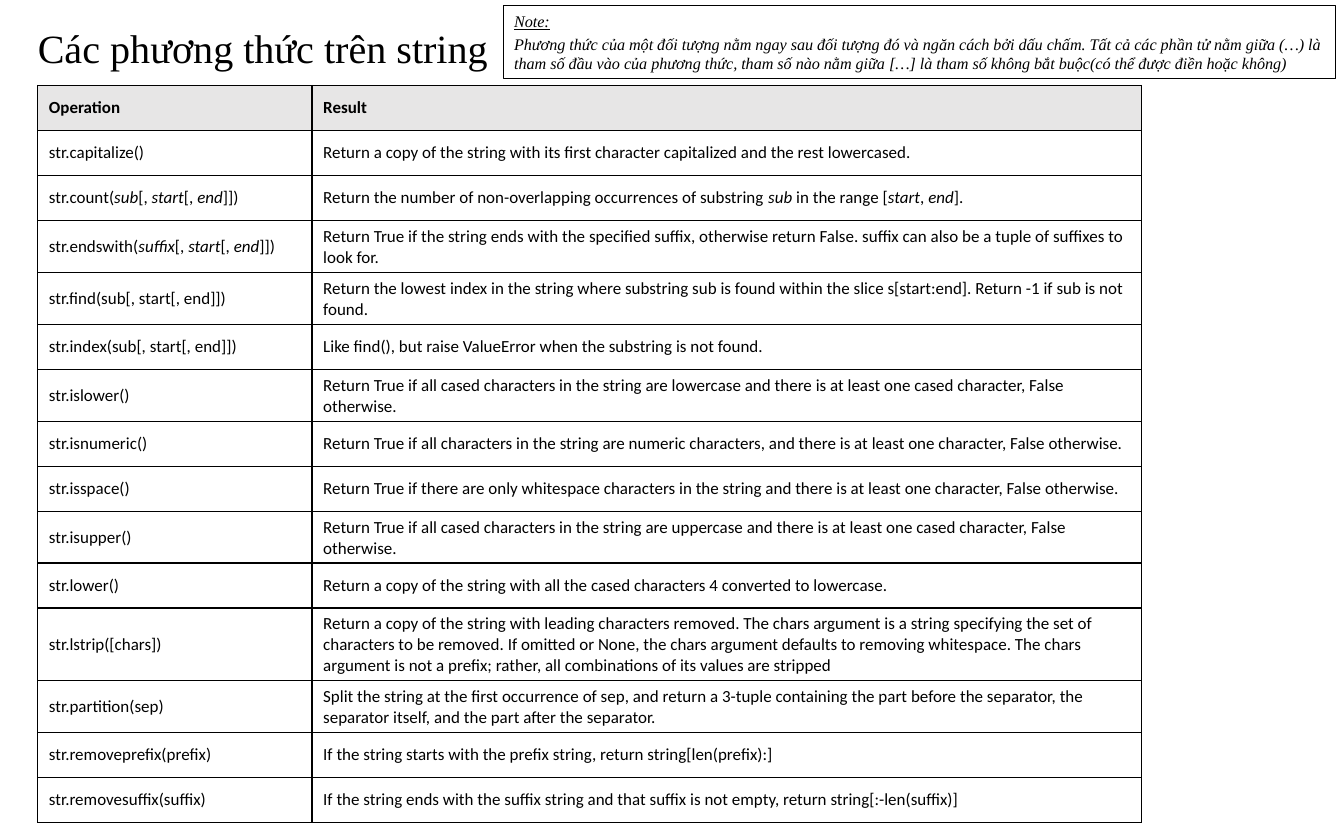
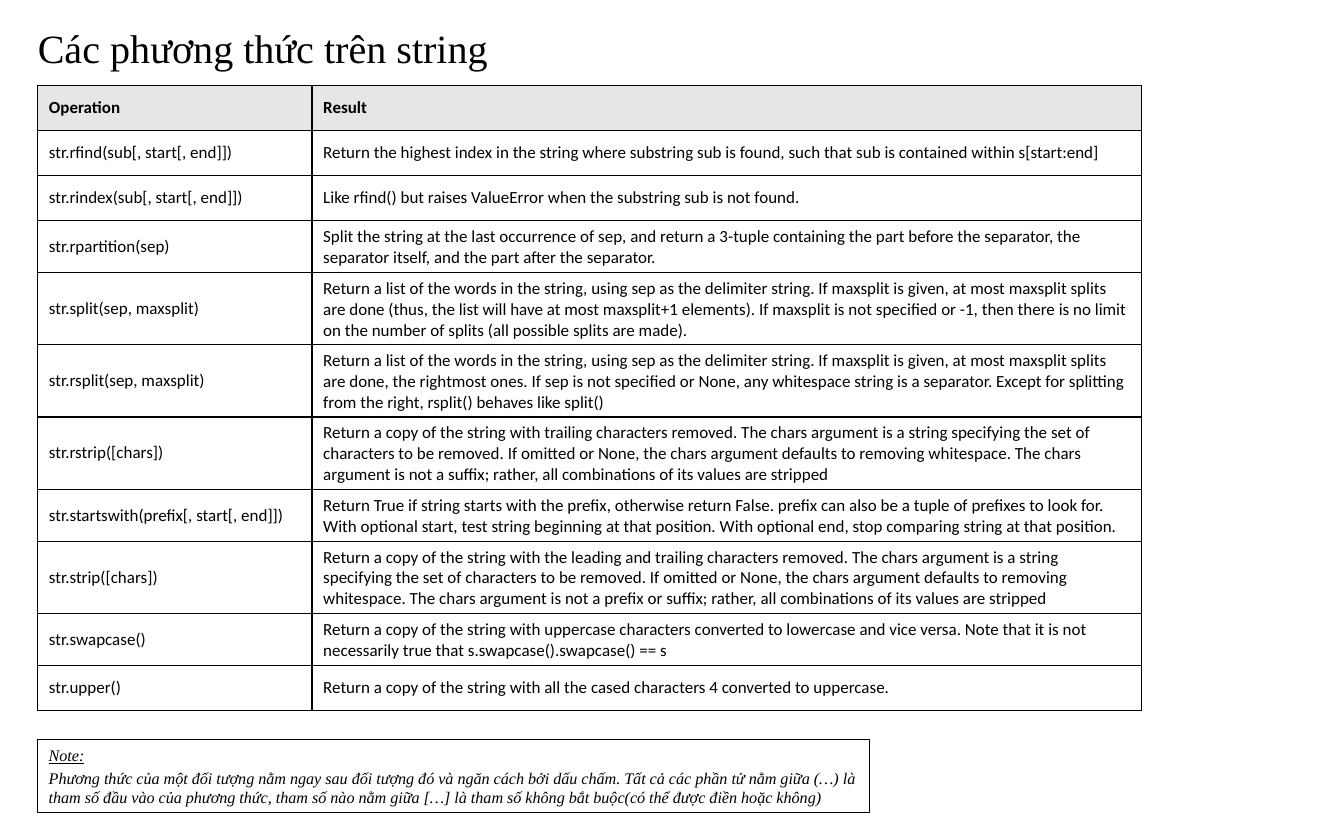
from lxml import etree
from pptx import Presentation
from pptx import util as u
from pptx.dml.color import RGBColor
from pptx.enum import shapes, text
from pptx.oxml import ns

Inches, Pt = u.Inches, u.Pt

# Shared look
COLORS = {"ink": "000000", "header": "E7E6E6"}
SERIF, SANS = "Times New Roman", "Calibri"
TITLE = "Các phương thức trên string"
COLUMNS = (2.47, 7.47)
ROW_HEIGHT = 6.08 / 15
HEADER = ("Operation", "Result")
NOTE = ("Phương thức của một đối tượng nằm ngay sau đối tượng đó và ngăn cách bởi dấu chấm. "
        "Tất cả các phần tử nằm giữa (…) là tham số đầu vào của phương thức, tham số nào nằm "
        "giữa […] là tham số không bắt buộc(có thể được điền hoặc không)")

# Wording used by several methods
RANGE = "[,\u00a0*start*[,\u00a0*end*]])"
CASED = ("Return True if all cased characters in the string are {} and there is at least "
         "one cased character, False otherwise.")
CONVERTED = "Return a copy of the string with all the cased characters 4 converted to {}."
PARTITION = ("Split the string at the {} occurrence of sep, and return a 3-tuple containing the "
             "part before the separator, the separator itself, and the part after the separator.")
STRIP = ("Return a copy of the string with {} characters removed. The chars argument is a string "
         "specifying the set of characters to be removed. If omitted or None, the chars argument "
         "defaults to removing whitespace. The chars argument is not a {}; rather, all "
         "combinations of its values are stripped")
SPLIT = ("Return a list of the words in the string, using sep as the delimiter string. "
         "If maxsplit is given, at most maxsplit splits are done")

# Table rows; *asterisks* mark italics
METHODS_C_TO_R = [
    ("str.capitalize()",
     "Return a copy of the string with its first character capitalized and the rest lowercased."),
    ("str.count(*sub*" + RANGE,
     "Return the number of non-overlapping occurrences of substring\u00a0*sub*\u00a0in the range "
     "[*start*,\u00a0*end*]."),
    ("str.endswith(*suffix*" + RANGE,
     "Return True if the string ends with the specified suffix, otherwise return False. "
     "suffix can also be a tuple of suffixes to look for."),
    ("str.find(sub[, start[, end]])",
     "Return the lowest index in the string where substring sub is found within the slice "
     "s[start:end]. Return -1 if sub is not found."),
    ("str.index(sub[, start[, end]])",
     "Like find(), but raise ValueError when the substring is not found."),
    ("str.islower()", CASED.format("lowercase")),
    ("str.isnumeric()",
     "Return True if all characters in the string are numeric characters, and there is at least "
     "one character, False otherwise."),
    ("str.isspace()",
     "Return True if there are only whitespace characters in the string and there is at least "
     "one character, False otherwise."),
    ("str.isupper()", CASED.format("uppercase")),
    ("str.lower()", CONVERTED.format("lowercase")),
    ("str.lstrip([chars])", STRIP.format("leading", "prefix")),
    ("str.partition(sep)", PARTITION.format("first")),
    ("str.removeprefix(prefix)",
     "If the string starts with the prefix string, return string[len(prefix):]"),
    ("str.removesuffix(suffix)",
     "If the string ends with the suffix string and that suffix is not empty, "
     "return string[:-len(suffix)]"),
]
METHODS_R_TO_U = [
    ("str.rfind(sub[, start[, end]])",
     "Return the highest index in the string where substring sub is found, such that sub is "
     "contained within s[start:end]"),
    ("str.rindex(sub[, start[, end]])",
     "Like rfind() but raises ValueError when the substring sub is not found."),
    ("str.rpartition(sep)", PARTITION.format("last")),
    ("str.split(sep, maxsplit)",
     SPLIT + " (thus, the list will have at most maxsplit+1 elements). If maxsplit is not "
     "specified or -1, then there is no limit on the number of splits (all possible splits "
     "are made)."),
    ("str.rsplit(sep, maxsplit)",
     SPLIT + ", the rightmost ones. If sep is not specified or None, any whitespace string is "
     "a separator. Except for splitting from the right, rsplit() behaves like split()"),
    ("str.rstrip([chars])", STRIP.format("trailing", "suffix")),
    ("str.startswith(prefix[, start[, end]])",
     "Return True if string starts with the prefix, otherwise return False. prefix can also be a "
     "tuple of prefixes to look for. With optional start, test string beginning at that position. "
     "With optional end, stop comparing string at that position."),
    ("str.strip([chars])", STRIP.format("the leading and trailing", "prefix or suffix")),
    ("str.swapcase()",
     "Return a copy of the string with uppercase characters converted to lowercase and vice "
     "versa. Note that it is not necessarily true that s.swapcase().swapcase() == s"),
    ("str.upper()", CONVERTED.format("uppercase")),
]


def color(name):
    return RGBColor.from_string(COLORS[name])


def add_run(p, words, font, size, bold=False, italic=False, underline=False):
    r = p.add_run()
    r.text = words
    f = r.font
    f.name, f.size, f.bold, f.italic, f.underline = font, Pt(size), bold, italic, underline
    f.color.rgb = color("ink")


def add_title(s):
    sp = s.shapes.title
    sp.left, sp.top, sp.width, sp.height = (Inches(v) for v in (0.24, 0.16, 4.29, 0.54))
    tf = sp.text_frame
    tf.word_wrap = False
    tf.auto_size = text.MSO_AUTO_SIZE.SHAPE_TO_FIT_TEXT
    tf.vertical_anchor = text.MSO_ANCHOR.TOP
    p = tf.paragraphs[0]
    p.alignment = text.PP_ALIGN.LEFT
    add_run(p, TITLE, SERIF, 26)


def add_borders(cell):
    tcPr = cell._tc.get_or_add_tcPr()
    for side in ("a:lnL", "a:lnR", "a:lnT", "a:lnB"):
        ln = etree.SubElement(tcPr, ns.qn(side), w=str(Pt(1)))
        fill = etree.SubElement(ln, ns.qn("a:solidFill"))
        etree.SubElement(fill, ns.qn("a:srgbClr"), val=COLORS["ink"])


def fill_cell(cell, words, is_header):
    add_borders(cell)
    if is_header:
        cell.fill.solid()
        cell.fill.fore_color.rgb = color("header")
    else:
        cell.fill.background()
    cell.vertical_anchor = text.MSO_ANCHOR.MIDDLE
    p = cell.text_frame.paragraphs[0]
    for i, part in enumerate(words.split("*")):
        add_run(p, part, SANS, 11, bold=is_header, italic=i % 2 == 1)


def add_method_table(s, methods):
    rows = [HEADER] + methods
    table = s.shapes.add_table(len(rows), len(COLUMNS), Inches(0.34), Inches(0.77),
                               Inches(sum(COLUMNS)), Inches(ROW_HEIGHT * len(rows))).table
    table.first_row = table.horz_banding = False
    for column, width in zip(table.columns, COLUMNS):
        column.width = Inches(width)
    for i, row in enumerate(rows):
        for j, words in enumerate(row):
            fill_cell(table.cell(i, j), words, i == 0)


def add_note(s, left, top):
    sp = s.shapes.add_shape(shapes.MSO_SHAPE.RECTANGLE, Inches(left), Inches(top),
                            Inches(7.49), Inches(0.66))
    sp.shadow.inherit = False
    sp.fill.background()
    sp.line.color.rgb = color("ink")
    sp.line.width = Pt(0.75)
    tf = sp.text_frame
    tf.word_wrap = True
    tf.auto_size = text.MSO_AUTO_SIZE.SHAPE_TO_FIT_TEXT
    lines = (("Note:", 2, True), (NOTE, 6, False))
    for p, (words, after, underline) in zip((tf.paragraphs[0], tf.add_paragraph()), lines):
        p.alignment = text.PP_ALIGN.LEFT
        p.space_after = Pt(after)
        add_run(p, words, SERIF, 10.5, italic=True, underline=underline)


def main():
    prs = Presentation()
    prs.slide_width, prs.slide_height = Inches(12.1), Inches(7.5)
    # One slide per part of the method list, each with its note position
    for methods, note_at in ((METHODS_C_TO_R, (4.53, 0.05)), (METHODS_R_TO_U, (0.34, 6.66))):
        s = prs.slides.add_slide(prs.slide_layouts[5])
        add_title(s)
        add_method_table(s, methods)
        add_note(s, *note_at)
    prs.save("out.pptx")


main()
